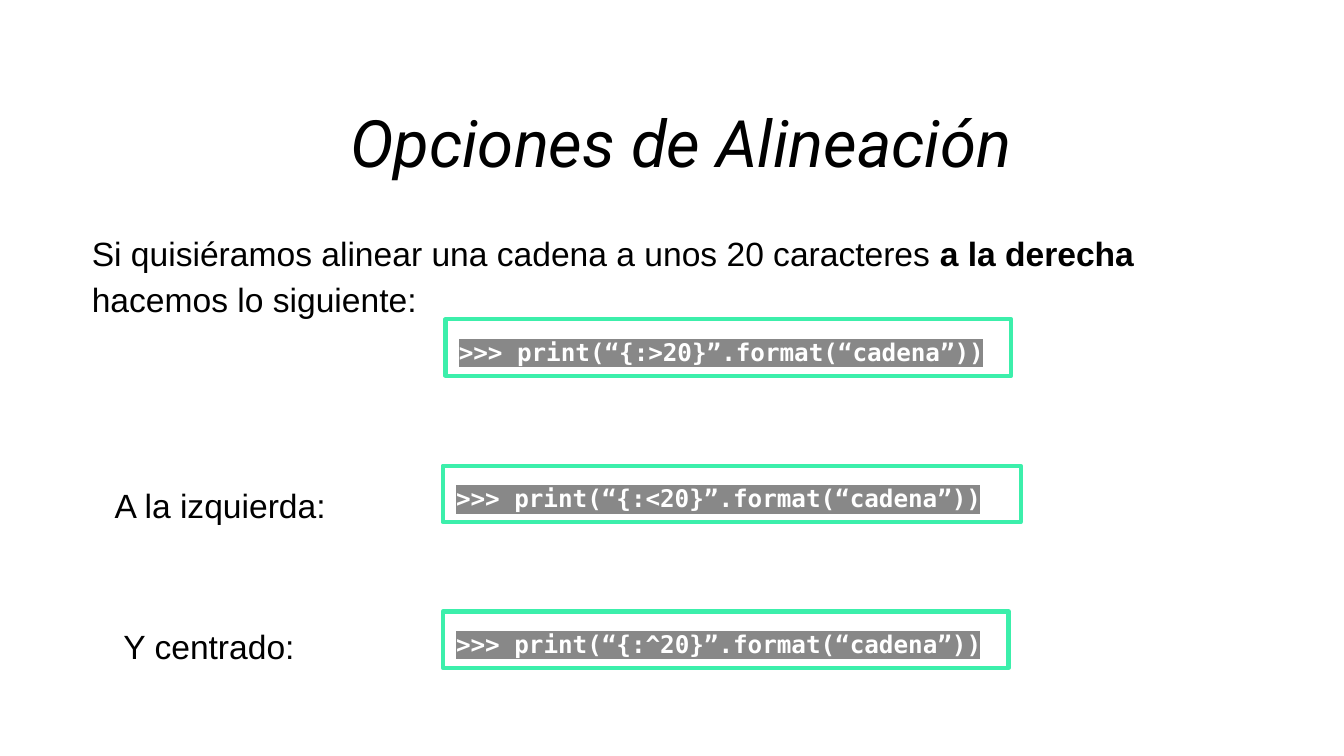
from lxml.etree import SubElement
from pptx import Presentation
from pptx.dml.color import RGBColor
from pptx.enum.shapes import MSO_SHAPE
from pptx.enum.text import MSO_ANCHOR, MSO_AUTO_SIZE, PP_ALIGN
from pptx.oxml.ns import qn
from pptx.util import Pt

PX = 4572  # 200 px to the inch
WIDTH, HEIGHT = 2000, 1125
INSET = 20
LINE_SPACING = 1.15
COLORS = {"text": "000000", "code": "FFFFFF", "highlight": "888888", "border": "3CEFAB"}

TITLE = ("Opciones de Alineación", (246, 102, 1536, 216))

# Each label is a box and its runs, as (text, bold)
LABELS = [
    ((117, 317, 1800, 170), [
        ("Si quisiéramos alinear una cadena a unos 20 caracteres ", False),
        ("a la derecha", True),
        (" hacemos lo siguiente:", False),
    ]),
    ((151, 693, 656, 100), [("A la izquierda:", False)]),
    ((164, 903, 330, 100), [("Y centrado:", False)]),
]

# Alignment symbol and box of each code example
EXAMPLES = [
    (">", (663, 475, 842, 84)),
    ("<", (659, 693, 860, 84)),
    ("^", (659, 910, 842, 84)),
]


def emu(box):
    return [value * PX for value in box]


def color(name):
    return RGBColor.from_string(COLORS[name])


def prepare_frame(shape, anchor=MSO_ANCHOR.TOP):
    frame = shape.text_frame
    frame.word_wrap = True
    frame.auto_size = MSO_AUTO_SIZE.NONE
    frame.vertical_anchor = anchor
    frame.margin_left = frame.margin_right = INSET * PX
    frame.margin_top = frame.margin_bottom = INSET * PX
    return frame


def format_run(run, font_name, size, color_name, bold=False, italic=False):
    font = run.font
    font.name, font.size = font_name, Pt(size)
    font.bold, font.italic = bold, italic
    font.color.rgb = color(color_name)


def highlight(run):
    """Put a coloured background behind the run, right after its fill."""
    properties = run.font._element
    mark = SubElement(properties, qn("a:highlight"))
    SubElement(mark, qn("a:srgbClr"), val=COLORS["highlight"])
    properties.find(qn("a:solidFill")).addnext(mark)


def add_title(slide):
    text, box = TITLE
    title = slide.shapes.title
    title.left, title.top, title.width, title.height = emu(box)
    frame = prepare_frame(title, MSO_ANCHOR.MIDDLE)
    frame.text = text
    paragraph = frame.paragraphs[0]
    paragraph.alignment = PP_ALIGN.CENTER
    format_run(paragraph.runs[0], "Roboto", 35, "text", italic=True)


def add_label(slide, box, parts):
    frame = prepare_frame(slide.shapes.add_textbox(*emu(box)))
    paragraph = frame.paragraphs[0]
    paragraph.line_spacing = LINE_SPACING
    for text, bold in parts:
        run = paragraph.add_run()
        run.text = text
        format_run(run, "Arial", 18, "text", bold=bold)


def add_example(slide, symbol, box):
    shape = slide.shapes.add_shape(MSO_SHAPE.RECTANGLE, *emu(box))
    shape.shadow.inherit = False
    shape.fill.background()
    shape.line.color.rgb = color("border")
    shape.line.width = Pt(2.25)
    SubElement(shape.line._ln, qn("a:round"))
    frame = prepare_frame(shape)
    frame.text = f">>> print(“{{:{symbol}20}}”.format(“cadena”))"
    paragraph = frame.paragraphs[0]
    paragraph.alignment = PP_ALIGN.LEFT
    paragraph.line_spacing = LINE_SPACING
    run = paragraph.runs[0]
    format_run(run, "DejaVu Sans Mono", 13, "code", bold=True)
    highlight(run)


def main():
    presentation = Presentation()
    presentation.slide_width, presentation.slide_height = emu((WIDTH, HEIGHT))
    slide = presentation.slides.add_slide(presentation.slide_layouts[5])
    add_title(slide)
    for box, parts in LABELS:
        add_label(slide, box, parts)
    for symbol, box in EXAMPLES:
        add_example(slide, symbol, box)
    presentation.save("out.pptx")


if __name__ == "__main__":
    main()
